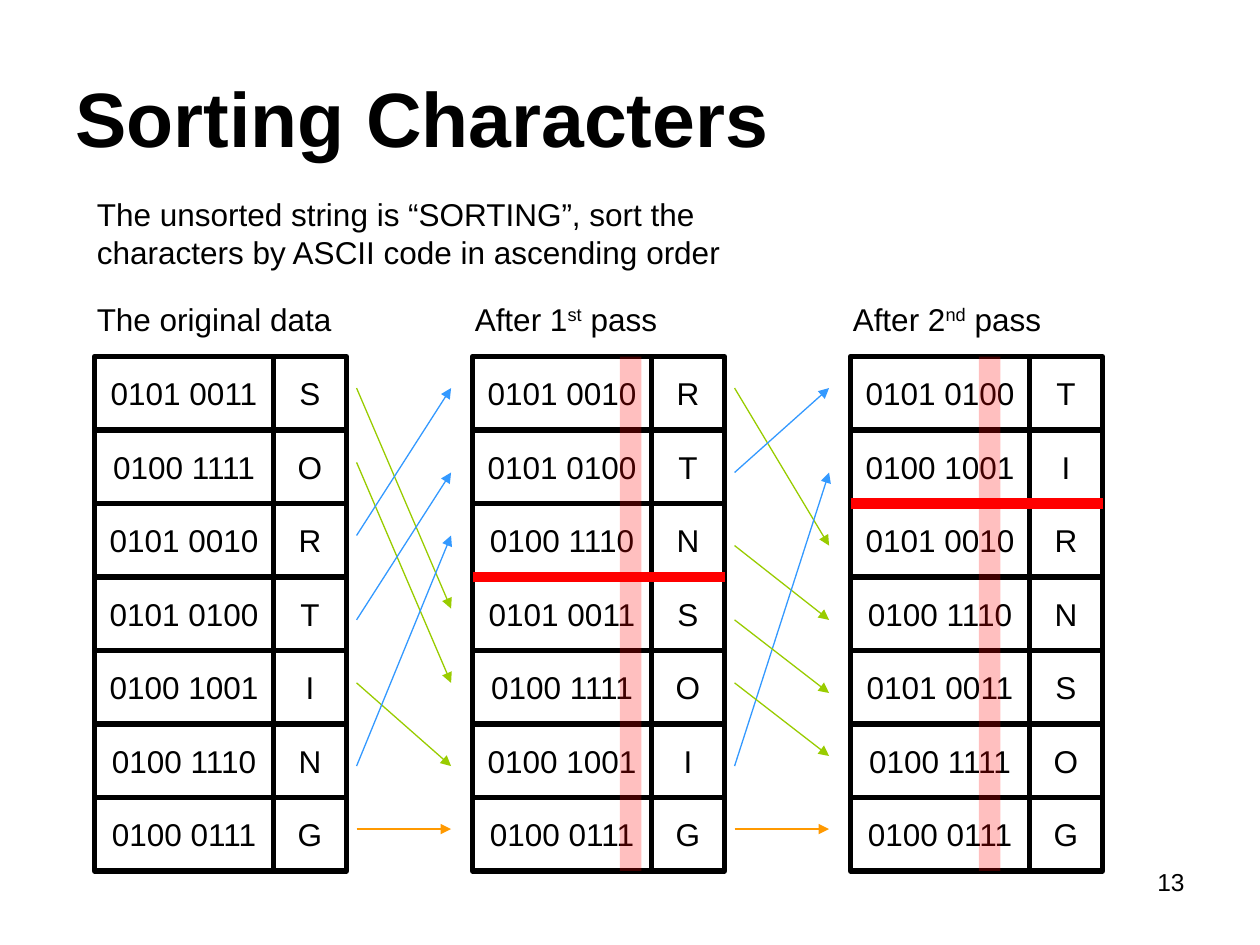
from lxml.etree import SubElement
from pptx import Presentation
from pptx.dml.color import RGBColor
from pptx.enum.shapes import MSO_CONNECTOR, MSO_SHAPE
from pptx.enum.text import MSO_ANCHOR, MSO_AUTO_SIZE, PP_ALIGN
from pptx.oxml.ns import qn
from pptx.util import Inches, Pt

BLACK, WHITE, RED = "000000", "FFFFFF", "FF0000"
GREEN, BLUE, ORANGE = "99CC00", "3399FF", "FF9900"

GRID_TOP, ROW_HEIGHT = 2.83, 3.5 / 6
CODE_WIDTH, LETTER_WIDTH = 1.42, 0.58
GRID_WIDTH = CODE_WIDTH + LETTER_WIDTH
GRID_LEFT, GRID_STEP = 0.75, 3

# Heading parts, letters, left of the digit band, rows above the divider
STAGES = [
    (("The original data",), "SORTING", None, None),
    (("After 1", "st", " pass"), "RTNSOIG", 4.92, 3),
    (("After 2", "nd", " pass"), "TIRNSOG", 7.77, 2),
]

# For each pass: start height, end height, colour
MOVES = [
    [
        (3.08, 4.83, GREEN),
        (3.67, 5.42, GREEN),
        (4.25, 3.08, BLUE),
        (4.92, 3.75, BLUE),
        (5.42, 6.08, GREEN),
        (6.08, 4.25, BLUE),
        (6.58, 6.58, ORANGE),
    ],
    [
        (3.08, 4.33, GREEN),
        (4.33, 4.92, GREEN),
        (3.75, 3.08, BLUE),
        (6.08, 3.75, BLUE),
        (6.58, 6.58, ORANGE),
        (4.92, 5.5, GREEN),
        (5.42, 6, GREEN),
    ],
]


def color(hex_code):
    return RGBColor.from_string(hex_code)


def ascii_bits(letter):
    bits = f"{ord(letter):08b}"
    return f"{bits[:4]} {bits[4:]}"


class SlideBuilder:
    def __init__(self, slide, font="Arial", size=18):
        self.slide = slide
        self.font = font
        self.size = size

    def style(self, paragraph, size=None, bold=False):
        for run in paragraph.runs:
            run.font.name = self.font
            run.font.size = Pt(size or self.size)
            run.font.bold = bold
            run.font.color.rgb = color(BLACK)

    def title(self, text, left, top, width, height):
        title = self.slide.shapes.title
        title.left, title.top = Inches(left), Inches(top)
        title.width, title.height = Inches(width), Inches(height)
        frame = title.text_frame
        frame.text = text
        frame.auto_size = MSO_AUTO_SIZE.NONE
        frame.vertical_anchor = MSO_ANCHOR.MIDDLE
        frame.paragraphs[0].alignment = PP_ALIGN.LEFT
        self.style(frame.paragraphs[0], 44, bold=True)

    def label(self, parts, left, top, width, height, size=None, align=PP_ALIGN.LEFT):
        """Write the parts on one line, every second one as superscript."""
        box = self.slide.shapes.add_textbox(
            Inches(left), Inches(top), Inches(width), Inches(height))
        box.text_frame.word_wrap = True
        paragraph = box.text_frame.paragraphs[0]
        paragraph.alignment = align
        for index, part in enumerate(parts):
            run = paragraph.add_run()
            run.text = part
            if index % 2:
                run._r.get_or_add_rPr().set("baseline", "30000")
        self.style(paragraph, size)

    def rectangle(self, left, top, width, height, fill):
        rectangle = self.slide.shapes.add_shape(
            MSO_SHAPE.RECTANGLE,
            Inches(left), Inches(top), Inches(width), Inches(height))
        rectangle.shadow.inherit = False
        rectangle.fill.solid()
        rectangle.fill.fore_color.rgb = color(fill)
        return rectangle

    def cell(self, text, left, top, width):
        cell = self.rectangle(left, top, width, ROW_HEIGHT, WHITE)
        cell.line.color.rgb = color(BLACK)
        cell.line.width = Pt(3)
        frame = cell.text_frame
        frame.text = text
        frame.word_wrap = False
        frame.vertical_anchor = MSO_ANCHOR.MIDDLE
        frame.paragraphs[0].alignment = PP_ALIGN.CENTER
        self.style(frame.paragraphs[0])

    def digit_band(self, left, height):
        band = self.rectangle(left, GRID_TOP, 0.17, height, RED)
        band.line.fill.background()
        fill_color = band._element.spPr.find(qn("a:solidFill"))[0]
        SubElement(fill_color, qn("a:alpha"), val="25000")

    def line(self, start, end, line_color, width, arrow=False):
        line = self.slide.shapes.add_connector(
            MSO_CONNECTOR.STRAIGHT, *map(Inches, start + end))
        line.line.color.rgb = color(line_color)
        line.line.width = Pt(width)
        if arrow:
            SubElement(line.line._get_or_add_ln(), qn("a:tailEnd"), type="triangle")
        SubElement(line._element.spPr, qn("a:effectLst"))

    def stage(self, left, heading, letters, band_left, divider_row):
        for row, letter in enumerate(letters):
            top = GRID_TOP + row * ROW_HEIGHT
            self.cell(letter, left + CODE_WIDTH, top, LETTER_WIDTH)
            self.cell(ascii_bits(letter), left, top, CODE_WIDTH)
        self.label(heading, left - 0.08, 2.33, 2.17, 0.4)
        if band_left is not None:
            self.digit_band(band_left, len(letters) * ROW_HEIGHT)
            divider = GRID_TOP + divider_row * ROW_HEIGHT
            self.line((left, divider), (left + GRID_WIDTH, divider), RED, 6)


def main():
    presentation = Presentation()
    presentation.slide_width, presentation.slide_height = Inches(10), Inches(7.5)
    slide = presentation.slides.add_slide(presentation.slide_layouts[5])
    builder = SlideBuilder(slide)

    builder.label(["13"], 7.17, 6.83, 2.33, 0.52, size=14, align=PP_ALIGN.RIGHT)
    builder.title("Sorting Characters", 0.5, 0.3, 9, 1.25)
    builder.label(
        ["The unsorted string is “SORTING”, sort the characters "
         "by ASCII code in ascending order"],
        0.67, 1.5, 6.08, 0.7)

    for index, stage in enumerate(STAGES):
        builder.stage(GRID_LEFT + index * GRID_STEP, *stage)

    for index, moves in enumerate(MOVES):
        left = GRID_LEFT + index * GRID_STEP + GRID_WIDTH + 0.08
        for start, end, move_color in moves:
            builder.line((left, start), (left + 0.75, end), move_color, 0.75, arrow=True)

    presentation.save("out.pptx")


if __name__ == "__main__":
    main()
